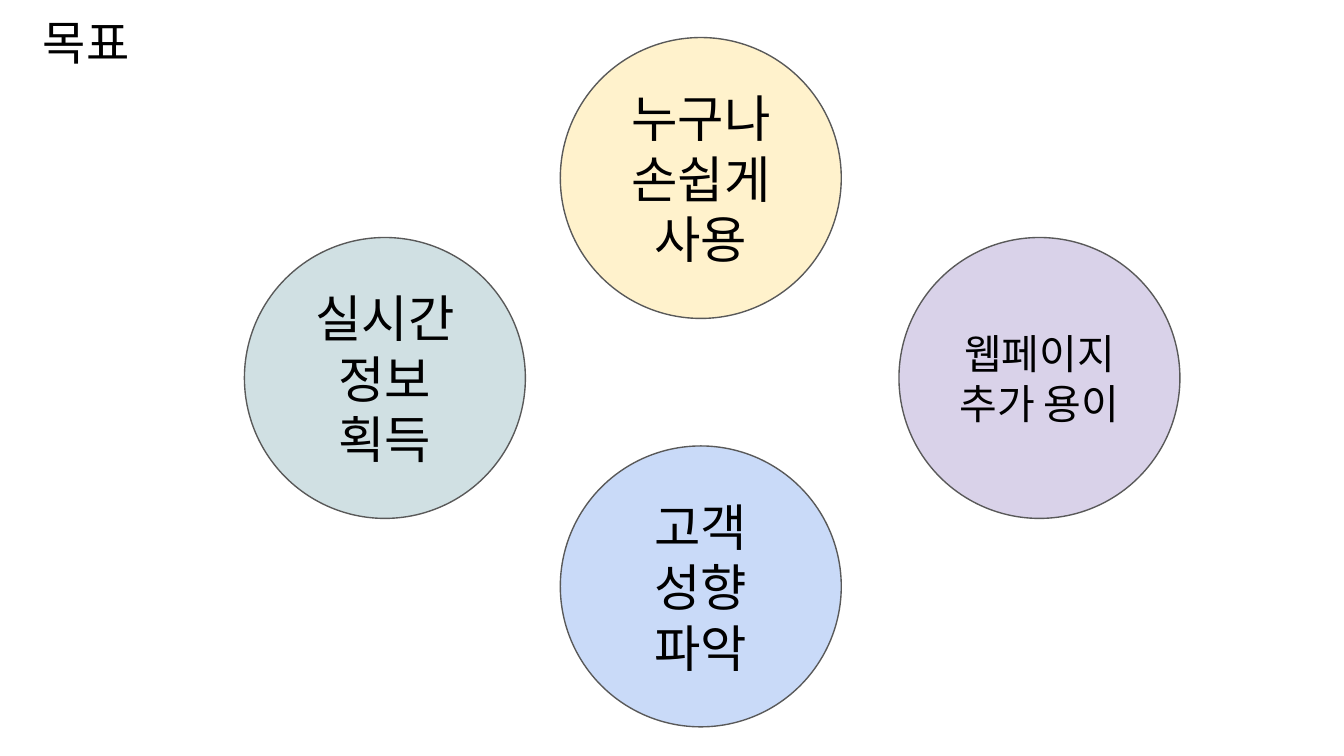
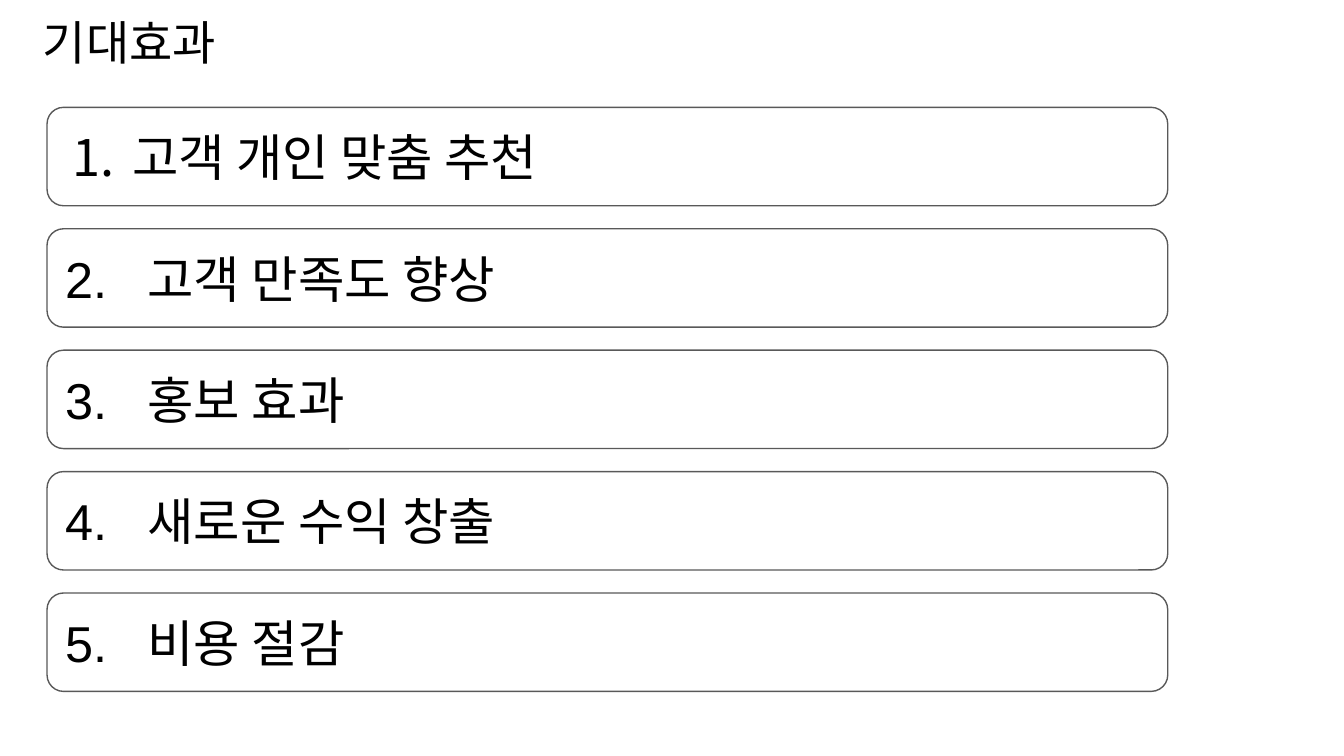
from dataclasses import dataclass

from lxml import etree
from pptx import Presentation
from pptx.dml.color import RGBColor
from pptx.enum import shapes, text
from pptx.oxml import ns
from pptx.util import Cm, Pt


@dataclass(frozen=True)
class Theme:
    font: str = "Arial"
    ink: str = "000000"
    outline: str = "595959"
    outline_width: float = 0.75
    yellow: str = "FFF2CC"
    teal: str = "D0E0E3"
    blue: str = "C9DAF8"
    violet: str = "D9D2E9"
    title_size: float = 25.2
    body_size: float = 27
    small_size: float = 22
    inset: float = 0.25


THEME = Theme()
SLIDE_SIZE = (25.4, 14.29)
TITLE_BOX = (0.56, 0, 23.67, 1.6)
TITLE_ONLY = 5

# Boxes are left, top, width, height in centimetres.
GOALS_BOX = (4.62, 0.71, 17.68, 13.03)
GOAL_DIAMETER = 5.31
# Offset from the left and top of the goals box, colour, lines, type size
GOALS = [
    (5.97, 0, THEME.yellow, ["누구나 손쉽게 사용"], THEME.body_size),
    (0, 3.78, THEME.teal, ["실시간", "정보 획득"], THEME.body_size),
    (5.97, 7.72, THEME.blue, ["고객", "성향 파악"], THEME.body_size),
    (12.37, 3.78, THEME.violet, ["웹페이지 추가 용이"], THEME.small_size),
]

EFFECTS_BOX = (0.89, 2.03, 21.18, 11.04)
EFFECT_HEIGHT = 1.86
EFFECTS = ["고객 개인 맞춤 추천", "고객 만족도 향상", "홍보 효과", "새로운 수익 창출", "비용 절감"]
AUTO_INDENT = (1.27, -1.12)
TYPED_INDENT = (1.56, -1.56)


def write(shape, lines, size=THEME.body_size, align=text.PP_ALIGN.LEFT,
          anchor=text.MSO_ANCHOR.MIDDLE, indent=None, numbered=False):
    """Fill a shape with paragraphs; indent is (left margin, first line) in cm."""
    frame = shape.text_frame
    frame.word_wrap = True
    frame.auto_size = text.MSO_AUTO_SIZE.NONE
    frame.vertical_anchor = anchor
    frame.margin_left = frame.margin_right = Cm(THEME.inset)
    frame.margin_top = frame.margin_bottom = Cm(THEME.inset)
    for position, line in enumerate(lines):
        paragraph = frame.add_paragraph() if position else frame.paragraphs[0]
        paragraph.alignment = align
        run = paragraph.add_run()
        run.text = line
        run.font.name = THEME.font
        run.font.size = Pt(size)
        run.font.color.rgb = RGBColor.from_string(THEME.ink)
        properties = paragraph._p.get_or_add_pPr()
        if indent:
            properties.set("marL", str(Cm(indent[0])))
            properties.set("indent", str(Cm(indent[1])))
        if numbered:
            etree.SubElement(properties, ns.qn("a:buAutoNum"), type="arabicPeriod")


def outlined_shape(slide, kind, box, fill=None):
    shape = slide.shapes.add_shape(kind, *map(Cm, box))
    shape.shadow.inherit = False
    if fill:
        shape.fill.solid()
        shape.fill.fore_color.rgb = RGBColor.from_string(fill)
    else:
        shape.fill.background()
    shape.line.color.rgb = RGBColor.from_string(THEME.outline)
    shape.line.width = Pt(THEME.outline_width)
    return shape


def titled_slide(deck, heading):
    slide = deck.slides.add_slide(deck.slide_layouts[TITLE_ONLY])
    title = slide.shapes.title
    title.left, title.top, title.width, title.height = map(Cm, TITLE_BOX)
    write(title, [heading], size=THEME.title_size, anchor=text.MSO_ANCHOR.TOP)
    return slide


def goal_circles(slide, box):
    left, top = box[:2]
    for across, down, colour, lines, size in GOALS:
        circle = outlined_shape(
            slide, shapes.MSO_SHAPE.OVAL,
            (left + across, top + down, GOAL_DIAMETER, GOAL_DIAMETER), colour)
        write(circle, lines, size=size, align=text.PP_ALIGN.CENTER)


def effect_bars(slide, box):
    """Spread the bars evenly; the first is auto-numbered, the rest typed."""
    left, top, width, height = box
    step = (height - EFFECT_HEIGHT) / (len(EFFECTS) - 1)
    for number, effect in enumerate(EFFECTS, start=1):
        bar = outlined_shape(
            slide, shapes.MSO_SHAPE.ROUNDED_RECTANGLE,
            (left, top + (number - 1) * step, width, EFFECT_HEIGHT))
        if number == 1:
            write(bar, [effect], indent=AUTO_INDENT, numbered=True)
        else:
            write(bar, [f"{number}.\t{effect}"], indent=TYPED_INDENT)


def main():
    deck = Presentation()
    deck.slide_width, deck.slide_height = map(Cm, SLIDE_SIZE)
    goal_circles(titled_slide(deck, "목표"), GOALS_BOX)
    effect_bars(titled_slide(deck, "기대효과"), EFFECTS_BOX)
    deck.save("out.pptx")


if __name__ == "__main__":
    main()
